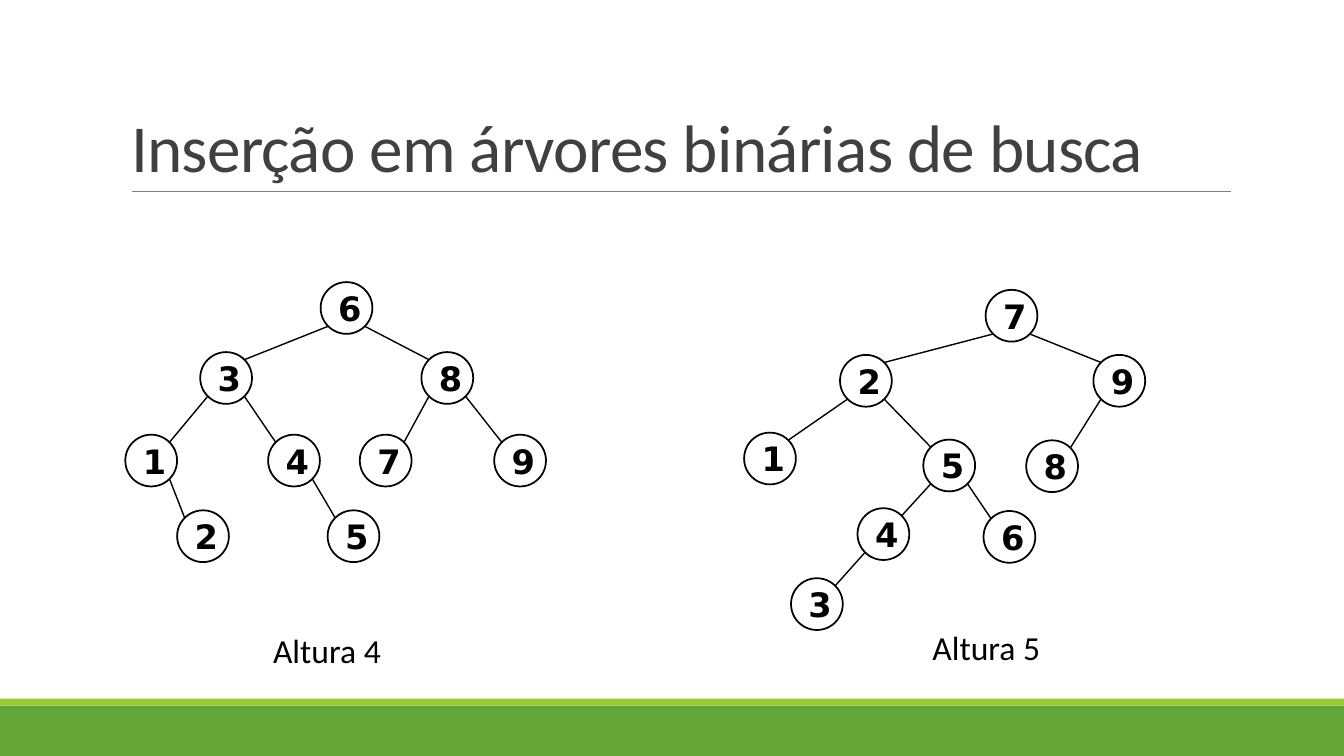
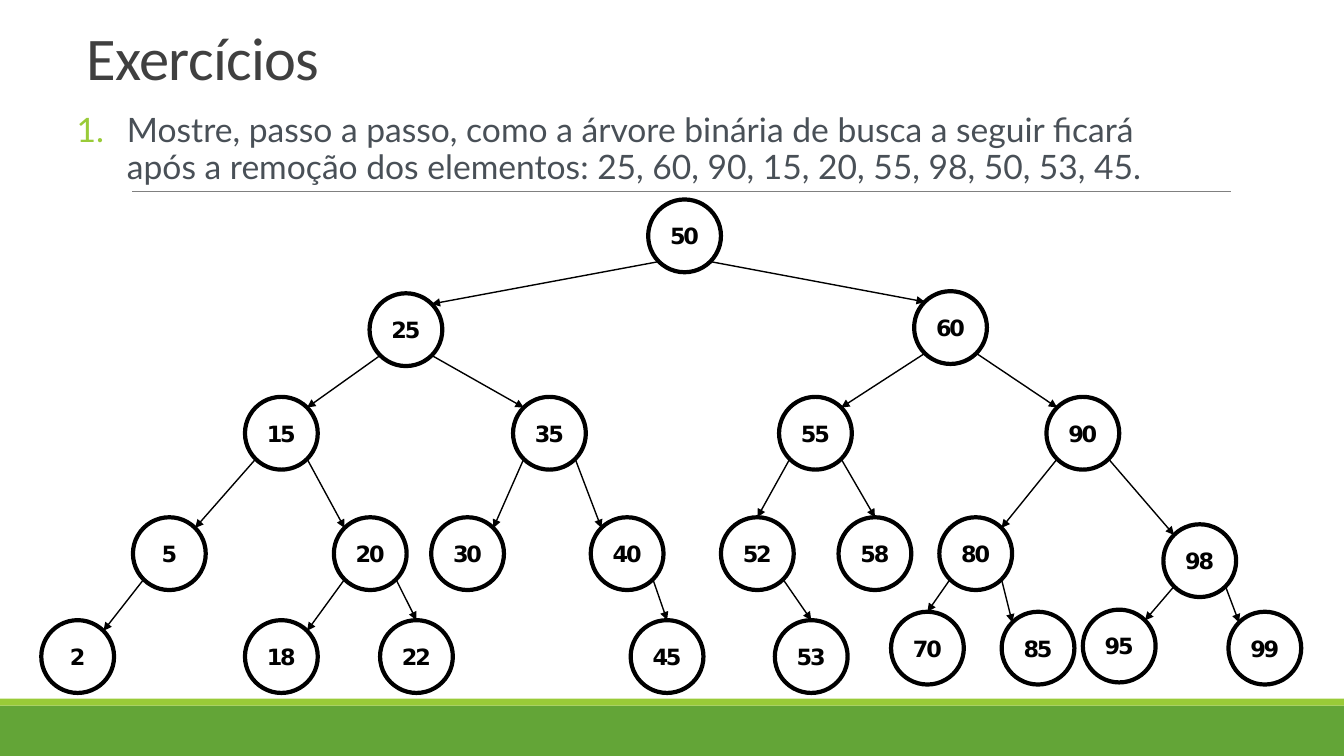
from dataclasses import dataclass
from typing import NamedTuple, Optional

from lxml.etree import SubElement
from pptx import Presentation
from pptx.dml.color import RGBColor
from pptx.enum.shapes import MSO_CONNECTOR, MSO_SHAPE
from pptx.enum.text import MSO_ANCHOR, MSO_AUTO_SIZE, PP_ALIGN
from pptx.oxml.ns import qn
from pptx.util import Pt


@dataclass(frozen=True)
class Theme:
    width: float = 960
    height: float = 540
    green: str = "63A537"
    lime: str = "99CB38"
    rule: str = "808080"
    title: str = "404040"
    body: str = "495057"
    ink: str = "000000"
    paper: str = "FFFFFF"
    title_font: str = "Calibri"
    body_font: str = "Lato"
    node_font: str = "DejaVu Sans"
    text_size: float = 24
    edge_width: float = 1


class TreeStyle(NamedTuple):
    diameter: float
    outline: float
    text_size: float
    spacing: float
    arrows: bool


class Node(NamedTuple):
    """Key, left and top of the circle, children; on_top: edge ends at the circle's top."""
    key: int
    x: float
    y: float
    left: Optional["Node"] = None
    right: Optional["Node"] = None
    on_top: bool = False


T = Theme()
PLAIN = TreeStyle(37, 1.25, 24, 0, False)
BOLD = TreeStyle(52, 3, 16, -1.5, True)

TREE_HEIGHT_4 = Node(
    6, 229, 201.5,
    Node(3, 143, 251.5,
         Node(1, 89.5, 310.5, right=Node(2, 126.5, 364.5)),
         Node(4, 191.5, 310.5, right=Node(5, 234, 364.5))),
    Node(8, 301, 251.5, Node(7, 257, 310.5), Node(9, 353, 310.5)))

TREE_HEIGHT_5 = Node(
    7, 704, 207,
    Node(2, 600, 253.5,
         Node(1, 531.5, 309),
         Node(5, 659.5, 314,
              Node(4, 612.5, 363, Node(3, 565, 413)),
              Node(6, 702.5, 365))),
    Node(9, 781, 253.5, Node(8, 733, 314.5)))

EXERCISE_TREE = Node(
    50, 463, 142.5,
    Node(25, 264, 209.5,
         Node(15, 175, 283.5,
              Node(5, 95, 369.5, Node(2, 29.5, 443)),
              Node(20, 238.5, 369.5,
                   Node(18, 175, 443), Node(22, 271.5, 443, on_top=True))),
         Node(35, 366.5, 283.5,
              Node(30, 308, 369.5),
              Node(40, 422, 369.5, right=Node(45, 450.5, 443, on_top=True)))),
    Node(60, 653, 208,
         Node(55, 556.5, 283.5,
              Node(52, 515, 369.5, right=Node(53, 553.5, 443, on_top=True), on_top=True),
              Node(58, 599, 369.5, on_top=True)),
         Node(90, 747.5, 283.5,
              Node(80, 671, 369.5,
                   Node(70, 636.5, 437, on_top=True), Node(85, 715.5, 437)),
              Node(98, 831, 374.5,
                   Node(95, 773.5, 435.5), Node(99, 877.5, 437)))))


def rgb(value):
    return RGBColor.from_string(value)


def box(x, y, w, h):
    return Pt(x), Pt(y), Pt(w), Pt(h)


def write(p, text, color, spacing=0, **font):
    r = p.add_run()
    r.text = text
    for name, value in font.items():
        setattr(r.font, name, value)
    r.font.color.rgb = rgb(color)
    if spacing:
        r._r.get_or_add_rPr().set("spc", str(round(spacing * 100)))


def add_filled(s, kind, bounds, fill, outline=0):
    sp = s.shapes.add_shape(kind, *box(*bounds))
    sp.shadow.inherit = False
    sp.fill.solid()
    sp.fill.fore_color.rgb = rgb(fill)
    if outline:
        sp.line.color.rgb = rgb(T.ink)
        sp.line.width = Pt(outline)
    else:
        sp.line.fill.background()
    return sp


def add_line(s, start, end, color, width, arrow=False):
    line = s.shapes.add_connector(
        MSO_CONNECTOR.STRAIGHT, *(Pt(v) for v in (*start, *end)))
    line.line.color.rgb = rgb(color)
    line.line.width = Pt(width)
    if arrow:
        SubElement(line.line._get_or_add_ln(), qn("a:tailEnd"), type="triangle")
    SubElement(line._element.spPr, qn("a:effectLst"))
    return line


def add_slide(prs, title, bounds, size):
    """Add a title-only slide with the shared bands, rule and title style."""
    s = prs.slides.add_slide(prs.slide_layouts[5])
    add_filled(s, MSO_SHAPE.RECTANGLE, (0, 504, T.width, 36), T.green)
    add_filled(s, MSO_SHAPE.RECTANGLE, (0, 499, T.width, 5), T.lime)
    add_line(s, (94.5, 137), (879, 137), T.rule, 0.5)
    sp = s.shapes.title
    sp.left, sp.top, sp.width, sp.height = box(*bounds)
    tf = sp.text_frame
    tf.auto_size = MSO_AUTO_SIZE.NONE
    tf.vertical_anchor = MSO_ANCHOR.BOTTOM
    p = tf.paragraphs[0]
    p.alignment = PP_ALIGN.LEFT
    p.line_spacing = 0.85
    write(p, title, T.title, -0.5, name=T.title_font, size=Pt(size))
    return s


def add_caption(s, text, x, y):
    tf = s.shapes.add_textbox(*box(x, y, 92, 36)).text_frame
    tf.word_wrap = False
    tf.auto_size = MSO_AUTO_SIZE.SHAPE_TO_FIT_TEXT
    write(tf.paragraphs[0], text, T.ink, name=T.title_font, size=Pt(T.text_size))


def add_numbered_text(s, text, bounds):
    tf = s.shapes.add_textbox(*box(*bounds)).text_frame
    tf.word_wrap = True
    tf.margin_left = tf.margin_right = 0
    p = tf.paragraphs[0]
    for name, value in {"line_spacing": 0.9, "space_before": Pt(12),
                        "space_after": Pt(2)}.items():
        setattr(p, name, value)
    pPr = p._p.get_or_add_pPr()
    pPr.set("marL", str(Pt(36)))
    pPr.set("indent", str(-Pt(36)))
    SubElement(SubElement(pPr, qn("a:buClr")), qn("a:srgbClr"), val=T.lime)
    SubElement(pPr, qn("a:buAutoNum"), type="arabicPeriod")
    write(p, text, T.body, name=T.body_font, size=Pt(T.text_size))


def add_node(s, node, style):
    d = style.diameter
    sp = add_filled(s, MSO_SHAPE.OVAL, (node.x, node.y, d, d), T.paper, style.outline)
    tf = sp.text_frame
    tf.vertical_anchor = MSO_ANCHOR.MIDDLE
    p = tf.paragraphs[0]
    p.alignment = PP_ALIGN.CENTER
    write(p, str(node.key), T.ink, style.spacing,
          name=T.node_font, size=Pt(style.text_size), bold=True)
    return sp


def add_edge(s, parent, child, circle, side, style):
    """Join the circles' diagonal points; side is -1 for a left child, 1 for a right one."""
    radius = style.diameter / 2
    reach = radius * 0.5 ** 0.5

    def diagonal(node, dx, dy):
        return node.x + radius + dx * reach, node.y + radius + dy * reach

    line = add_line(s, diagonal(parent, side, 1), diagonal(child, -side, -1),
                    T.ink, T.edge_width, style.arrows)
    if child.on_top:
        line.end_connect(circle, 0)


def add_tree(s, node, style):
    circle = add_node(s, node, style)
    for child, side in ((node.left, -1), (node.right, 1)):
        if child:
            add_edge(s, node, child, add_tree(s, child, style), side, style)
    return circle


def add_insertion_slide(prs):
    s = add_slide(prs, "Inserção em árvores binárias de busca",
                  (86.4, 22.3, 792, 114.5), 48)
    add_tree(s, TREE_HEIGHT_4, PLAIN)
    add_tree(s, TREE_HEIGHT_5, PLAIN)
    add_caption(s, "Altura 4", 188, 446.4)
    add_caption(s, "Altura 5", 659, 444.2)


def add_exercise_slide(prs):
    s = add_slide(prs, "Exercícios", (54.7, 14.4, 792, 55.5), 43.2)
    add_numbered_text(
        s, "Mostre, passo a passo, como a árvore binária de busca a seguir ficará "
        "após a remoção dos elementos: 25, 60, 90, 15, 20, 55, 98, 50, 53, 45.",
        (54.7, 77.8, 792, 60))
    add_tree(s, EXERCISE_TREE, BOLD)


def main():
    prs = Presentation()
    prs.slide_width, prs.slide_height = Pt(T.width), Pt(T.height)
    add_insertion_slide(prs)
    add_exercise_slide(prs)
    prs.save("out.pptx")


if __name__ == "__main__":
    main()
